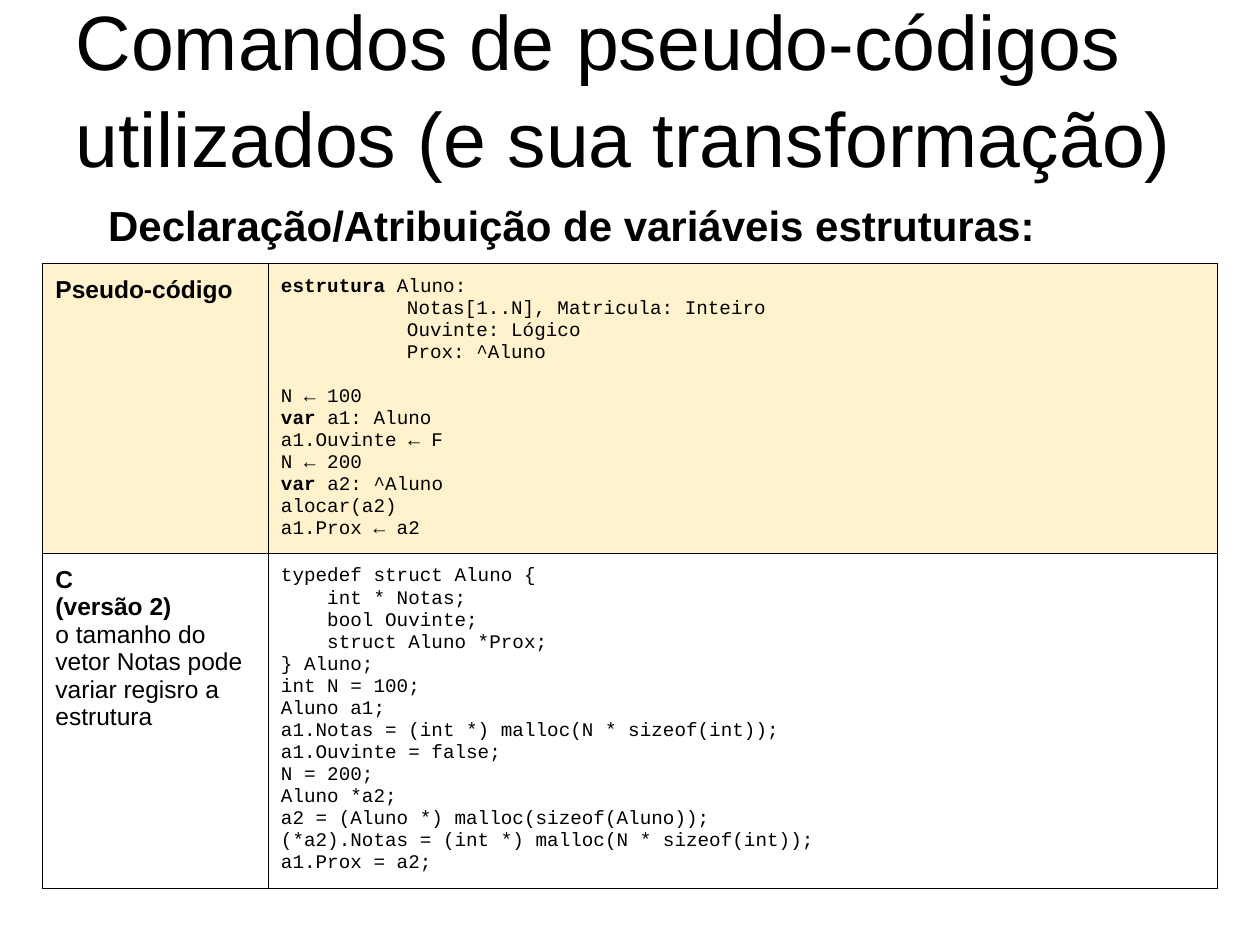
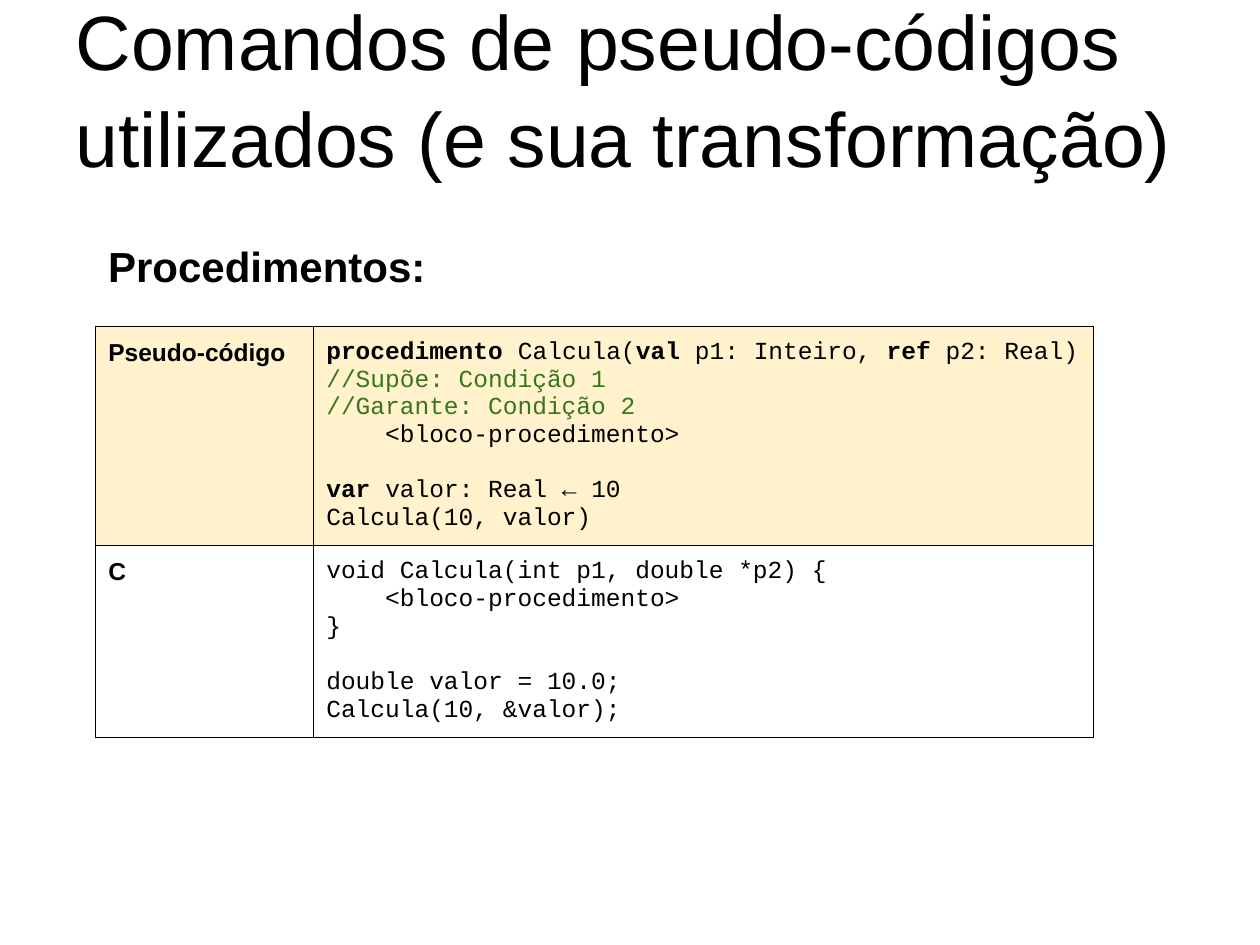
from pptx import Presentation, util as u
from pptx.dml.color import RGBColor
from pptx.enum import text
from pptx.oxml import parse_xml
from pptx.oxml.ns import nsdecls

COLORS = {"ink": "000000", "pseudocode": "FFF2CC", "comment": "38761D"}
SANS, MONO = "Arial", "Courier New"
COLUMNS, ROWS = 100, 75
TITLE = "Comandos de pseudo-códigos utilizados (e sua transformação)"

STRUCT_PSEUDOCODE = """\
`estrutura `Aluno:
\tNotas[1..N], Matricula: Inteiro
\tOuvinte: Lógico
\tProx: ^Aluno

N ← 100
`var `a1: Aluno
a1.Ouvinte ← F
N ← 200
`var `a2: ^Aluno
alocar(a2)
a1.Prox ← a2"""

STRUCT_C = """\
typedef struct Aluno {
    int * Notas;
    bool Ouvinte;
    struct Aluno *Prox;
} Aluno;
int N = 100;
Aluno a1;
a1.Notas = (int *) malloc(N * sizeof(int));
a1.Ouvinte = false;
N = 200;
Aluno *a2;
a2 = (Aluno *) malloc(sizeof(Aluno));
(*a2).Notas = (int *) malloc(N * sizeof(int));
a1.Prox = a2;"""

STRUCT_C_LABEL = """\
`C`
`(versão 2)`
o tamanho do vetor Notas pode variar regisro a estrutura"""

PROCEDURE_PSEUDOCODE = """\
`procedimento `Calcula(`val` p1: Inteiro, `ref` p2: Real)
//Supõe: Condição 1
//Garante: Condição 2
    <bloco-procedimento>

`var` valor: Real ← 10
Calcula(10, valor)"""

PROCEDURE_C = """\
void Calcula(int p1, double *p2) {
    <bloco-procedimento>
}

double valor = 10.0;
Calcula(10, &valor);"""


class Deck:
    def __init__(self):
        self.prs = Presentation()
        self.prs.slide_width, self.prs.slide_height = u.Inches(10), u.Inches(7.5)
        self.slide = None

    def x(self, columns):
        return round(self.prs.slide_width * columns / COLUMNS)

    def y(self, rows):
        return round(self.prs.slide_height * rows / ROWS)

    def box(self, left, top, width, height):
        return self.x(left), self.y(top), self.x(width), self.y(height)

    def style(self, paragraph, face, size, color="ink", bold=False):
        font = paragraph.font
        font.name, font.size, font.bold = face, u.Pt(size), bold
        font.color.rgb = RGBColor.from_string(COLORS[color])

    def set_frame(self, frame):
        frame.word_wrap, frame.auto_size = True, text.MSO_AUTO_SIZE.NONE
        frame.margin_left = frame.margin_right = self.x(1)
        frame.margin_top = frame.margin_bottom = self.y(1)

    def add_slide(self):
        self.slide = self.prs.slides.add_slide(self.prs.slide_layouts[5])
        title = self.slide.shapes.title
        title.left, title.top, title.width, title.height = self.box(5, 3, 90, 12.5)
        title.text_frame.text = TITLE
        self.set_frame(title.text_frame)
        title.text_frame.vertical_anchor = text.MSO_ANCHOR.BOTTOM
        heading = title.text_frame.paragraphs[0]
        heading.alignment, heading.line_spacing = text.PP_ALIGN.LEFT, 1.05
        self.style(heading, SANS, 44)

    def add_topic(self, wording, top):
        frame = self.slide.shapes.add_textbox(*self.box(7.6, top, 79.2, 6)).text_frame
        self.set_frame(frame)
        topic = frame.paragraphs[0]
        topic.text, topic.line_spacing = wording, 1.15
        self.style(topic, SANS, 24, bold=True)

    def add_lines(self, frame, wording, face, size):
        """Set one paragraph a line; backticks enclose bold, an empty line is a gap."""
        paragraph, gap = frame.paragraphs[0], False
        for number, line in enumerate(wording.split("\n")):
            if not line:
                gap = True
                continue
            if number:
                paragraph = frame.add_paragraph()
            if gap:
                paragraph.space_before, gap = u.Pt(round(size * 1.13, 1)), False
            if line.startswith("\t"):
                paragraph._p.get_or_add_pPr().append(parse_xml(
                    f'<a:tabLst {nsdecls("a")}><a:tab pos="{self.x(10)}" algn="l"/></a:tabLst>'))
            color = "comment" if line.startswith("//") else "ink"
            self.style(paragraph, face, size, color)
            for index, part in enumerate(line.split("`")):
                if part:
                    run = paragraph.add_run()
                    run.text = part
                    if index % 2:
                        run.font.bold = True

    def add_border(self, cell):
        properties = cell._tc.get_or_add_tcPr()
        for side in "LRTB":
            properties.append(parse_xml(
                f'<a:ln{side} {nsdecls("a")} w="{u.Pt(0.75)}"><a:solidFill>'
                f'<a:srgbClr val="{COLORS["ink"]}"/></a:solidFill></a:ln{side}>'))

    def add_comparison(self, left, top, widths, heights, listings, code_size):
        """Set pseudocode over C; listings are (label, code) pairs."""
        table = self.slide.shapes.add_table(
            len(heights), len(widths),
            *self.box(left, top, sum(widths), sum(heights))).table
        table.first_row = table.horz_banding = False
        for column, width in zip(table.columns, widths):
            column.width = self.x(width)
        for row, height in zip(table.rows, heights):
            row.height = self.y(height)
        for row, listing in enumerate(listings):
            for column, wording in enumerate(listing):
                cell = table.cell(row, column)
                cell.margin_left = cell.margin_right = self.x(1)
                cell.margin_top = cell.margin_bottom = self.y(1)
                self.add_border(cell)
                if row == 0:
                    cell.fill.solid()
                    cell.fill.fore_color.rgb = RGBColor.from_string(COLORS["pseudocode"])
                else:
                    cell.fill.background()
                face, size = (MONO, code_size) if column else (SANS, 14)
                self.add_lines(cell.text_frame, wording, face, size)


def main():
    deck = Deck()

    deck.add_slide()
    deck.add_topic("Declaração/Atribuição de variáveis estruturas:", 14.2)
    deck.add_comparison(
        3.4, 20.9, (17.9, 75.3), (23, 26.6),
        [("`Pseudo-código`", STRUCT_PSEUDOCODE), (STRUCT_C_LABEL, STRUCT_C)], 11)

    deck.add_slide()
    deck.add_topic("Procedimentos:", 17.5)
    deck.add_comparison(
        7.6, 25.9, (17.3, 61.9), (17.4, 15.2),
        [("`Pseudo-código`", PROCEDURE_PSEUDOCODE), ("`C`", PROCEDURE_C)], 14)

    deck.prs.save("out.pptx")


if __name__ == "__main__":
    main()
